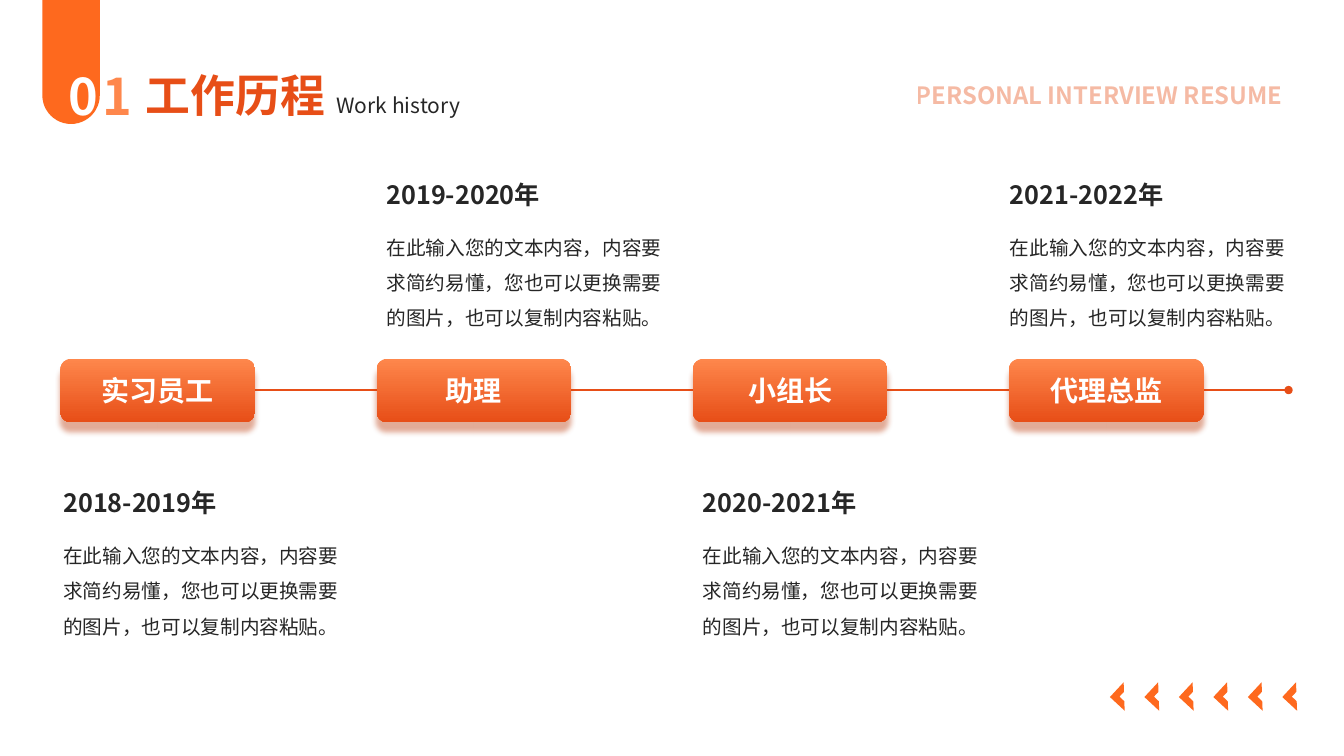
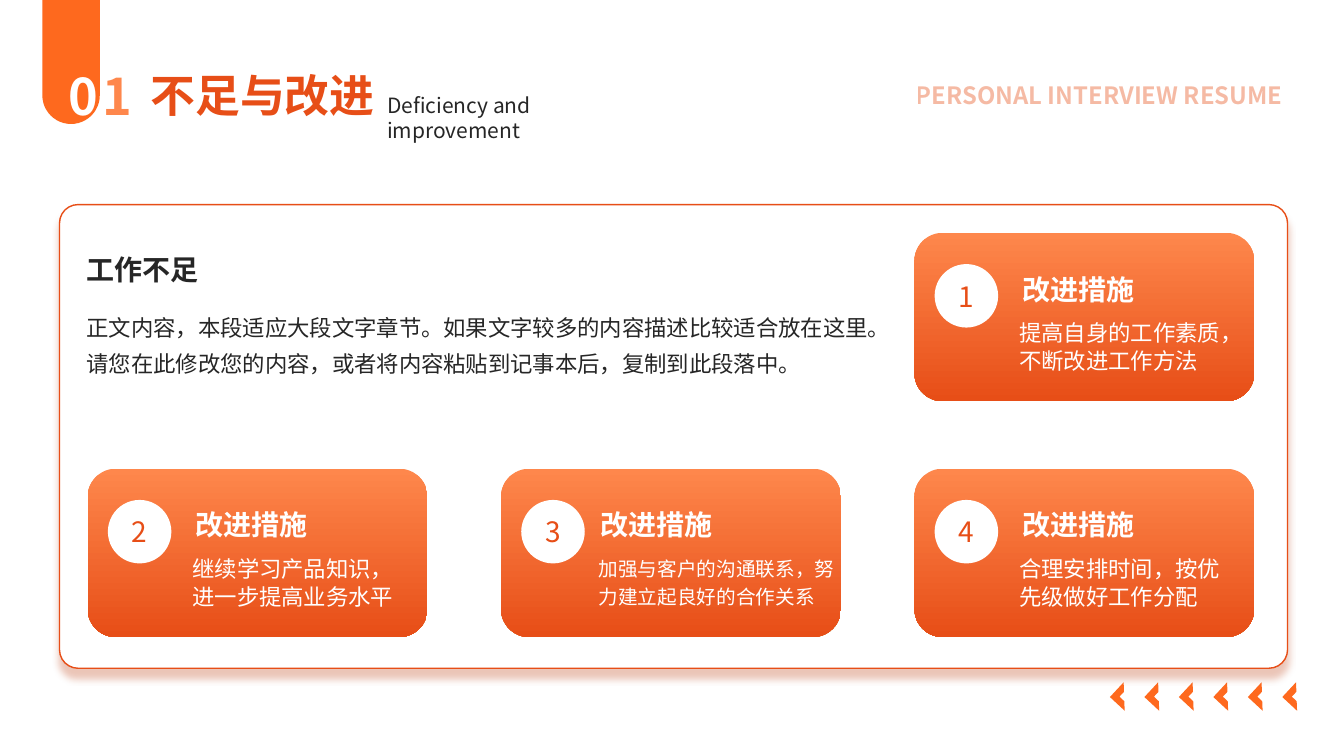
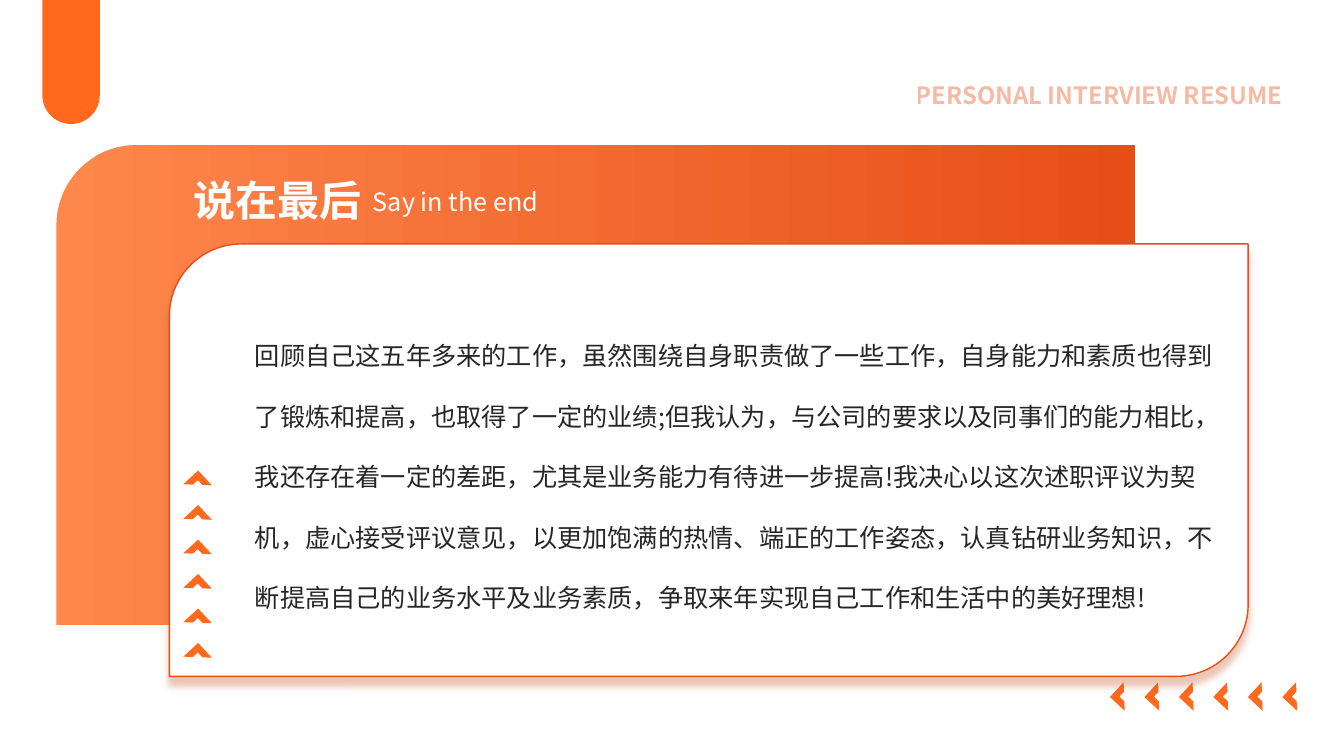
"""Builds three slides of a personal interview resume."""
import dataclasses

import lxml.etree
import pptx
import pptx.dml.color
import pptx.enum.dml
import pptx.enum.shapes
import pptx.enum.text
import pptx.oxml.ns
import pptx.util

KIND = pptx.enum.shapes.MSO_SHAPE
ALIGN = pptx.enum.text.PP_ALIGN
INCH = pptx.util.Inches
POINT = pptx.util.Pt


@dataclasses.dataclass(frozen=True)
class Theme:
    font: str = "Noto Sans CJK SC"
    ink: str = "262626"
    white: str = "FFFFFF"
    deep: str = "E74E17"
    light: str = "FE874C"
    mark: str = "FE691E"
    shade: str = "BD4013"
    num: int = 36
    title: int = 32
    close: int = 30
    head: int = 20
    lead: int = 18
    tag: int = 17
    body: int = 16
    sub: int = 15
    small: int = 14


T = Theme()
WIDE, HIGH = 13.33, 7.5
TAG = "PERSONAL INTERVIEW RESUME"

HISTORY = {"title": "工作历程", "sub": "Work history", "width": 2.17, "left": 3.24}
NOTE = "在此输入您的文本内容，内容要求简约易懂，您也可以更换需要的图片，也可以复制内容粘贴。"
STAGES = [
    ("实习员工", "2018-2019年", -0.07),
    ("助理", "2019-2020年", 0),
    ("小组长", "2020-2021年", 0),
    ("代理总监", "2021-2022年", -0.09),
]

IMPROVE = {"title": "不足与改进", "sub": "Deficiency and improvement", "width": 2.71, "left": 3.74}
LACK = "工作不足"
REVIEW = (
    "正文内容，本段适应大段文字章节。如果文字较多的内容描述比较适合放在这里。\n"
    "请您在此修改您的内容，或者将内容粘贴到记事本后，复制到此段落中。"
)
STEP = "改进措施"
WORK = {"dx": 0.94, "dy": 0.8, "width": 2.23, "size": T.body, "head": 0.97}
TIGHT = {"dx": 0.87, "dy": 0.78, "width": 2.57, "size": T.small, "head": 0.89}
STEPS = [
    ("提高自身的工作素质，不断改进工作方法", 2, 0, WORK),
    ("继续学习产品知识，进一步提高业务水平", 0, 1, WORK),
    ("加强与客户的沟通联系，努力建立起良好的合作关系", 1, 1, TIGHT),
    ("合理安排时间，按优先级做好工作分配", 2, 1, WORK),
]

CLOSE = ("说在最后", "Say in the end")
SPEECH = (
    "回顾自己这五年多来的工作，虽然围绕自身职责做了一些工作，自身能力和素质也得到了锻炼和提高，"
    "也取得了一定的业绩;但我认为，与公司的要求以及同事们的能力相比，我还存在着一定的差距，"
    "尤其是业务能力有待进一步提高!我决心以这次述职评议为契机，虚心接受评议意见，"
    "以更加饱满的热情、端正的工作姿态，认真钻研业务知识，不断提高自己的业务水平及业务素质，"
    "争取来年实现自己工作和生活中的美好理想!"
)


def rgb(code):
    return pptx.dml.color.RGBColor.from_string(code)


def node(parent, tag, **attrs):
    return lxml.etree.SubElement(parent, pptx.oxml.ns.qn("a:" + tag), attrs)


def write(shape, text, size, color, bold=False, align=ALIGN.LEFT, line=None):
    para = shape.text_frame.paragraphs[0]
    para.text = text
    para.alignment = align
    if line:
        para.line_spacing = line
    font = para.font
    font.size, font.bold, font.name = POINT(size), bold, T.font
    font.color.rgb = rgb(color)
    node(font._rPr, "ea", typeface=T.font)
    return para


def label(slide, box, text, size, color, wrap=True, **style):
    shape = slide.shapes.add_textbox(*map(INCH, box))
    shape.text_frame.word_wrap = wrap
    shape.text_frame.auto_size = pptx.enum.text.MSO_AUTO_SIZE.SHAPE_TO_FIT_TEXT
    return shape, write(shape, text, size, color, **style)


def draw(slide, kind, box, fill=None, angle=None, edge=None, shade=None):
    shape = slide.shapes.add_shape(kind, *map(INCH, box))
    shape.shadow.inherit = False
    if fill:
        shape.fill.solid()
        shape.fill.fore_color.rgb = rgb(fill)
    else:
        shape.fill.gradient()
        shape.fill.gradient_angle = angle
        for stop, color in zip(shape.fill.gradient_stops, (T.light, T.deep)):
            stop.color.rgb = rgb(color)
    if edge:
        shape.line.color.rgb = rgb(edge)
        shape.line.width = POINT(1)
    else:
        shape.line.fill.background()
    if shade:
        blur, alpha = shade
        effect = shape._element.spPr.find(pptx.oxml.ns.qn("a:effectLst"))
        cast = node(effect, "outerShdw", blurRad=str(POINT(blur)), dist=str(POINT(7)),
                    dir="5400000", algn="t", rotWithShape="0")
        node(node(cast, "srgbClr", val=T.shade), "alpha", val=str(alpha * 1000))
    shape.text_frame.vertical_anchor = pptx.enum.text.MSO_ANCHOR.MIDDLE
    return shape


def arrows(slide, left, top, dx, dy, turn):
    for i in range(6):
        box = (left + i * dx, top + i * dy, 0.2, 0.2)
        draw(slide, KIND.HALF_FRAME, box, T.mark).rotation = turn


def start(deck):
    slide = deck.slides.add_slide(deck.slide_layouts[6])
    band = draw(slide, KIND.ROUND_2_SAME_RECTANGLE, (0.42, -0.01, 0.57, 1.24), T.mark)
    band.adjustments[0], band.adjustments[1] = 0, 0.5
    arrows(slide, 11.05, 6.81, 0.342, 0, 313)
    _, para = label(slide, (8.17, 0.75, 4.65, 0.39), TAG, T.tag, T.deep,
                    bold=True, align=ALIGN.RIGHT)
    tint = para.font._rPr.find(".//" + pptx.oxml.ns.qn("a:srgbClr"))
    node(tint, "alpha", val="39000")
    return slide


def header(slide, data):
    shape, para = label(slide, (0.37, 0.57, 1.25, 0.76), "", T.num, T.white,
                        bold=True, align=ALIGN.CENTER)
    shape.text_frame.auto_size = pptx.enum.text.MSO_AUTO_SIZE.NONE
    shape.text_frame.vertical_anchor = pptx.enum.text.MSO_ANCHOR.MIDDLE
    para.font._rPr.set("spc", "300")
    for digit, color in zip("01", (T.white, T.light)):
        run = para.add_run()
        run.text = digit
        run.font.color.rgb = rgb(color)
    label(slide, (1.25, 0.62, data["width"], 0.64), data["title"], T.title, T.deep,
          bold=True, align=ALIGN.CENTER)
    label(slide, (data["left"], 0.87, data["width"], 0.35), data["sub"], T.sub, T.ink, wrap=False)


def history(deck):
    slide = start(deck)
    header(slide, HISTORY)
    axis = slide.shapes.add_connector(pptx.enum.shapes.MSO_CONNECTOR.STRAIGHT,
                                      *map(INCH, (2.19, 3.87, 12.78, 3.87)))
    axis.line.color.rgb = rgb(T.deep)
    axis.line.width = POINT(1)
    node(axis.line._get_or_add_ln(), "tailEnd", type="oval")
    node(axis._element.spPr, "effectLst")
    for i, (role, years, shift) in enumerate(STAGES):
        left = 0.6 + i * 3.136
        pill = draw(slide, KIND.ROUNDED_RECTANGLE, (left, 3.56, 1.93, 0.63),
                    angle=270, shade=(4, 43))
        write(pill, role, T.head, T.white, bold=True, align=ALIGN.CENTER)
        top = 1.73 if i % 2 else 4.79
        label(slide, (left + shift, top, 1.93, 0.4), years, T.lead, T.ink, bold=True)
        label(slide, (left + shift, top + 0.44, 3, 1.12), NOTE, T.small, T.ink, line=1.5)


def improve(deck):
    slide = start(deck)
    header(slide, IMPROVE)
    panel = draw(slide, KIND.ROUNDED_RECTANGLE, (0.59, 2.03, 12.18, 4.6),
                 T.white, edge=T.deep, shade=(5, 30))
    panel.adjustments[0] = 0.04
    label(slide, (0.76, 2.46, 1.32, 0.44), LACK, T.head, T.ink, wrap=False, bold=True)
    label(slide, (0.76, 2.97, 11.89, 0.79), REVIEW, T.body, T.ink, line=POINT(26))
    for i, (text, col, row, fit) in enumerate(STEPS, 1):
        left, top = 0.87 + col * 4.1, 2.31 + row * 2.34
        draw(slide, KIND.ROUNDED_RECTANGLE, (left, top, 3.37, 1.67), angle=270)
        label(slide, (left + fit["head"], top + 0.34, 1.32, 0.44), STEP, T.head, T.white,
              wrap=False, bold=True)
        label(slide, (left + fit["dx"], top + fit["dy"], fit["width"], 0.65), text,
              fit["size"], T.white, line=POINT(20))
        disc = draw(slide, KIND.OVAL, (left + 0.2, top + 0.31, 0.63, 0.63), T.white)
        write(disc, str(i), T.head, T.deep, align=ALIGN.CENTER)


def closing(deck):
    slide = start(deck)
    draw(slide, KIND.ROUND_2_DIAG_RECTANGLE, (0.56, 1.44, 10.7, 4.76), angle=0)
    draw(slide, KIND.ROUND_2_DIAG_RECTANGLE, (1.68, 2.42, 10.7, 4.29),
         T.white, edge=T.deep, shade=(5, 30))
    label(slide, (2.43, 3.03, 9.73, 3.04), SPEECH, T.lead, T.ink, line=2.0)
    title, sub = CLOSE
    label(slide, (1.82, 1.68, 1.93, 0.61), title, T.close, T.white, bold=True)
    label(slide, (3.6, 1.8, 2.32, 0.4), sub, T.lead, T.white)
    arrows(slide, 1.86, 4.71, 0, 0.342, 47)


def main():
    deck = pptx.Presentation()
    deck.slide_width, deck.slide_height = INCH(WIDE), INCH(HIGH)
    for build in (history, improve, closing):
        build(deck)
    deck.save("out.pptx")


if __name__ == "__main__":
    main()
